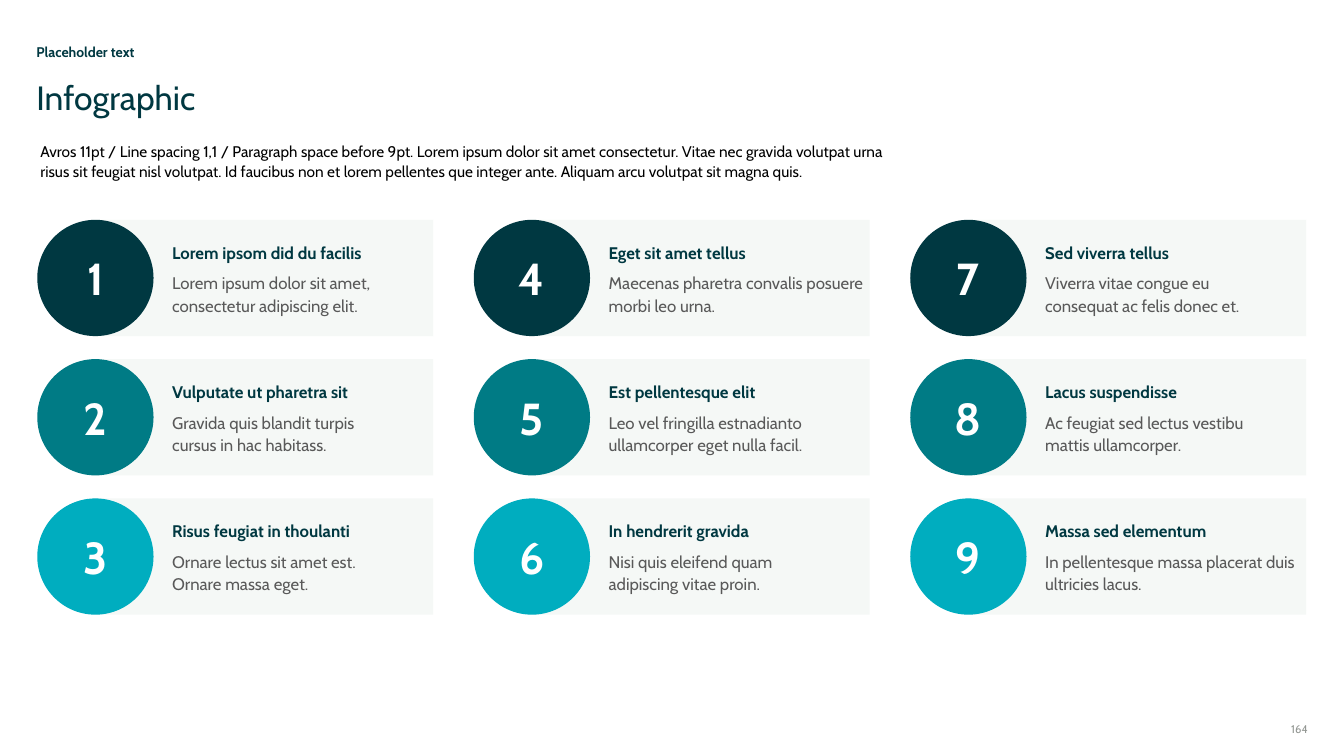
import pptx
import pptx.util
import pptx.dml.color
import pptx.enum.shapes
import pptx.enum.text

Cm = pptx.util.Cm
Pt = pptx.util.Pt
Kind = pptx.enum.shapes.MSO_SHAPE
Align = pptx.enum.text.PP_ALIGN
Anchor = pptx.enum.text.MSO_ANCHOR

DARK = "003841"


def paint(target, color):
    if hasattr(target, "solid"):
        target.solid()
        target = target.fore_color
    target.rgb = pptx.dml.color.RGBColor.from_string(color)


def style(para, size, color, bold=False, space=None, align=Align.LEFT):
    para.alignment = align
    para.line_spacing = space
    for run in para.runs:
        run.font.name = "Cabin"
        run.font.size = Pt(size)
        run.font.bold = bold
        paint(run.font.color, color)


deck = pptx.Presentation()
deck.slide_width = Cm(33.87)
deck.slide_height = Cm(19.05)
slide = deck.slides.add_slide(deck.slide_layouts[6])

# Headings, intro and page number
intro = (
    "Avros 11pt / Line spacing 1,1 / Paragraph space before 9pt. "
    "Lorem ipsum dolor sit amet consectetur. Vitae nec gravida volutpat urna "
    "risus sit feugiat nisl volutpat. Id faucibus non et lorem pellentes que "
    "integer ante. Aliquam arcu volutpat sit magna quis."
)
labels = [
    # left, top, width, height, inset, text, size, color, bold, spacing, align
    (0.92, 1.14, 32.03, 0.38, 0, "Placeholder text", 10, DARK, True, 0.9, Align.LEFT),
    (0.92, 2.06, 32.03, 0.94, 0, "Infographic", 24, DARK, False, 0.9, Align.LEFT),
    (0.92, 3.53, 22.05, 1.02, 0.1, intro, 11, "000000", False, 1.1, Align.LEFT),
    (31.06, 18.19, 1.9, 0.38, 0, "164", 8, "939793", False, None, Align.RIGHT),
]
for left, top, width, height, inset, text, *look in labels:
    box = slide.shapes.add_textbox(Cm(left), Cm(top), Cm(width), Cm(height))
    frame = box.text_frame
    frame.word_wrap = True
    frame.margin_left = Cm(inset)
    frame.margin_top = frame.margin_right = frame.margin_bottom = 0
    frame.text = text
    style(frame.paragraphs[0], *look)

# Numbered cards: three rows, counted down each column
rows = [
    (DARK, [
        ("Lorem ipsom did du facilis",
         "Lorem ipsum dolor sit amet, consectetur adipiscing elit."),
        ("Eget sit amet tellus",
         "Maecenas pharetra convalis posuere morbi leo urna."),
        ("Sed viverra tellus",
         "Viverra vitae congue eu\vconsequat ac felis donec et."),
    ]),
    ("007B85", [
        ("Vulputate ut pharetra sit",
         "Gravida quis blandit turpis\vcursus in hac habitass."),
        ("Est pellentesque elit",
         "Leo vel fringilla estnadianto ullamcorper eget nulla facil."),
        ("Lacus suspendisse",
         "Ac feugiat sed lectus vestibu\vmattis ullamcorper."),
    ]),
    ("00ADBF", [
        ("Risus feugiat in thoulanti",
         "Ornare lectus sit amet est.\vOrnare massa eget."),
        ("In hendrerit gravida",
         "Nisi quis eleifend quam\vadipiscing vitae proin."),
        ("Massa sed elementum",
         "In pellentesque massa placerat duis ultricies lacus."),
    ]),
]
SIZE = 2.93
for row, (color, cards) in enumerate(rows):
    group = slide.shapes.add_group_shape()
    top = 5.54 + row * 3.51
    for col, (head, body) in enumerate(cards):
        left = 0.94 + col * 11
        panel = group.shapes.add_shape(
            Kind.RECTANGLE, Cm(left + 1.4), Cm(top), Cm(8.58), Cm(SIZE))
        disc = group.shapes.add_shape(
            Kind.OVAL, Cm(left), Cm(top), Cm(SIZE), Cm(SIZE))
        for shape, fill in ((panel, "F5F8F6"), (disc, color)):
            shape.shadow.inherit = False
            shape.line.fill.background()
            paint(shape.fill, fill)
            shape.text_frame.word_wrap = True
            shape.text_frame.vertical_anchor = Anchor.MIDDLE

        # Card text
        frame = panel.text_frame
        frame.margin_left = Cm(2)
        frame.margin_top = frame.margin_right = frame.margin_bottom = 0
        frame.text = head + "\n" + body
        title, detail = frame.paragraphs
        style(title, 12, DARK, True, 1.1)
        style(detail, 12, "595959", False, 1.1)
        detail.space_before = Pt(6)

        # Card number
        disc.text_frame.text = str(col * len(rows) + row + 1)
        style(disc.text_frame.paragraphs[0], 32, "FFFFFF", True, None, Align.CENTER)

deck.save("out.pptx")
